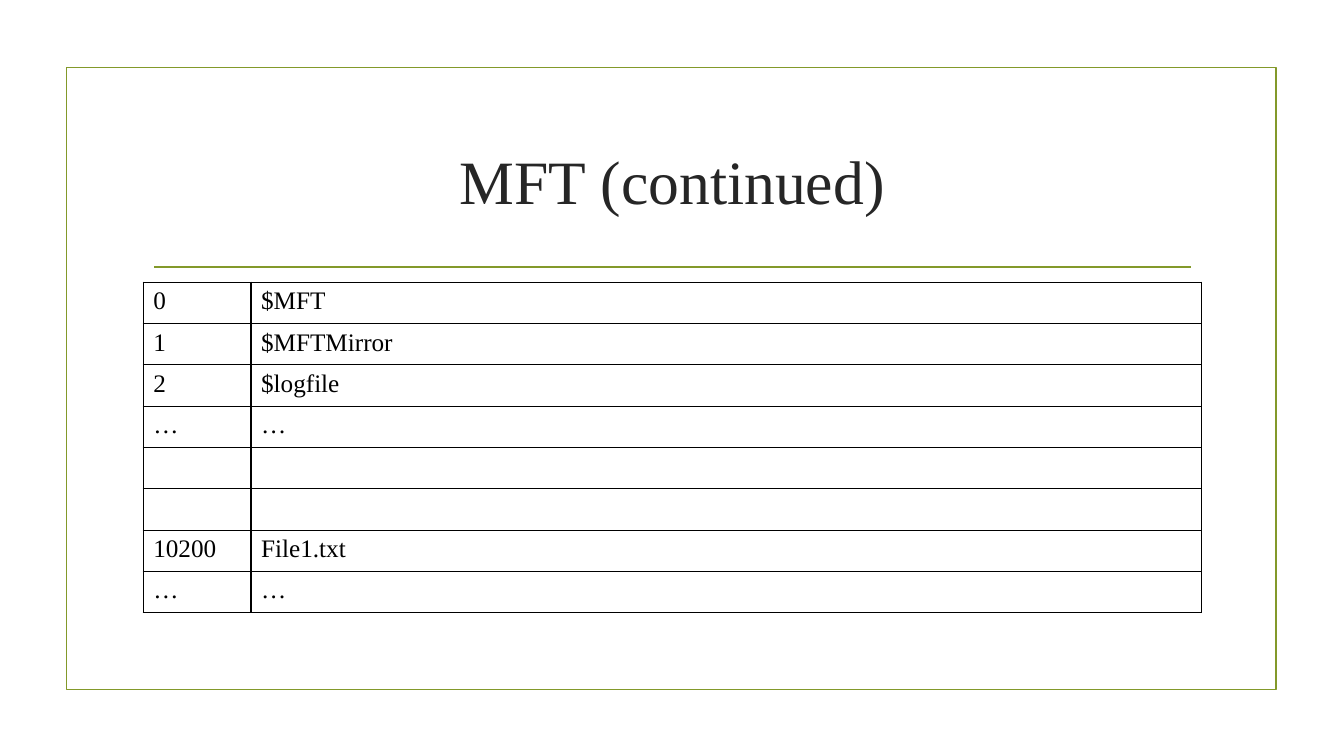
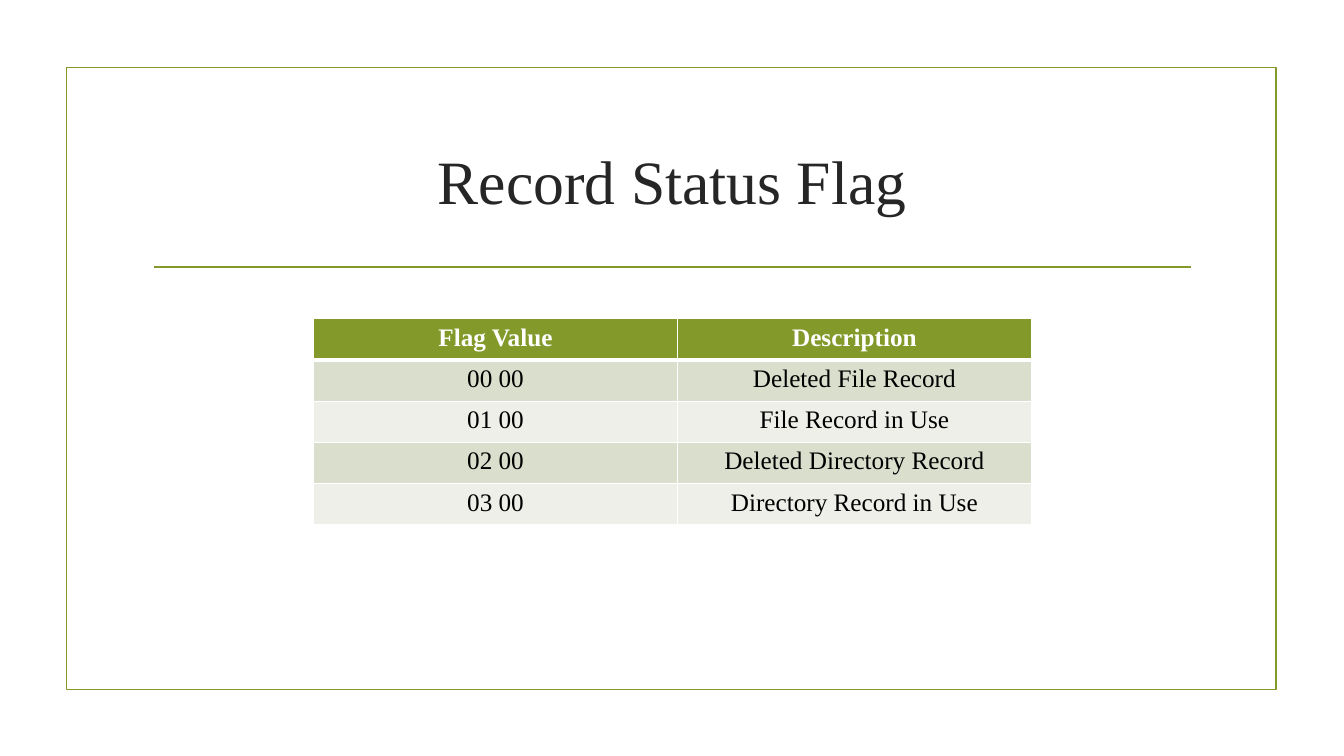
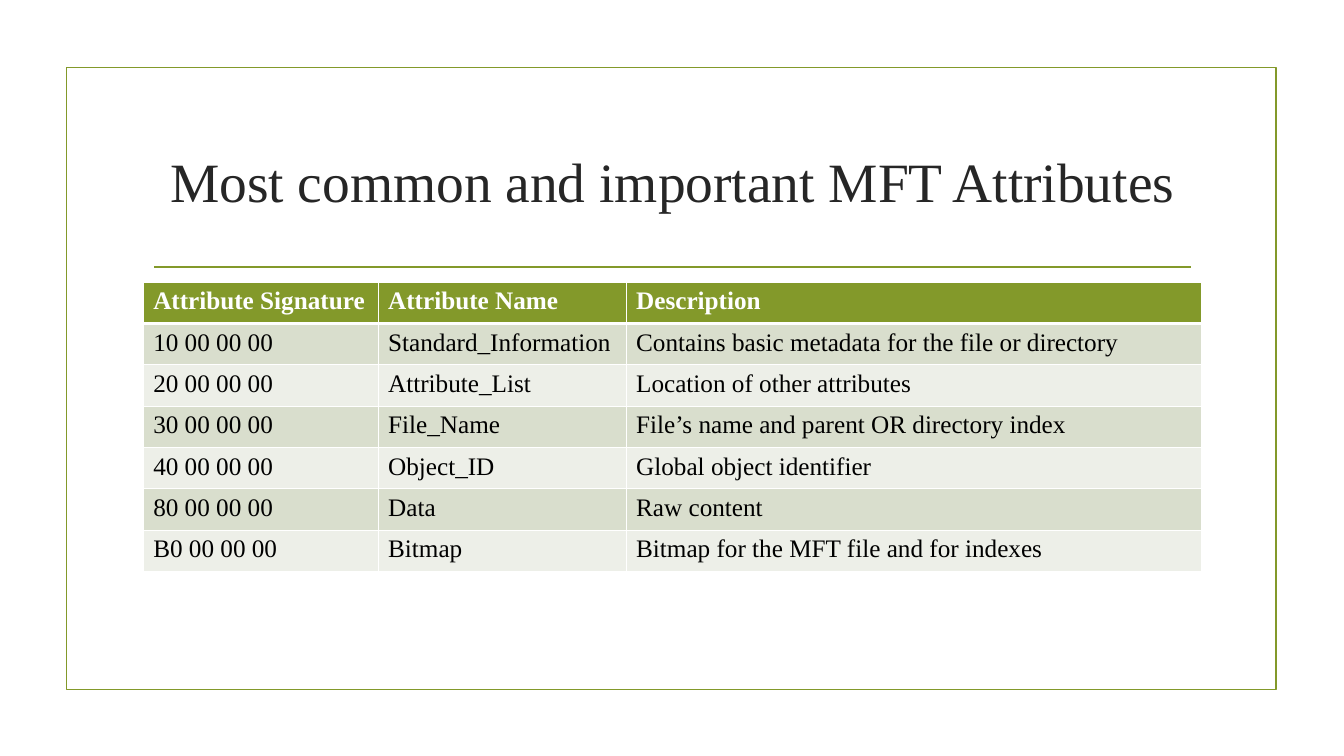
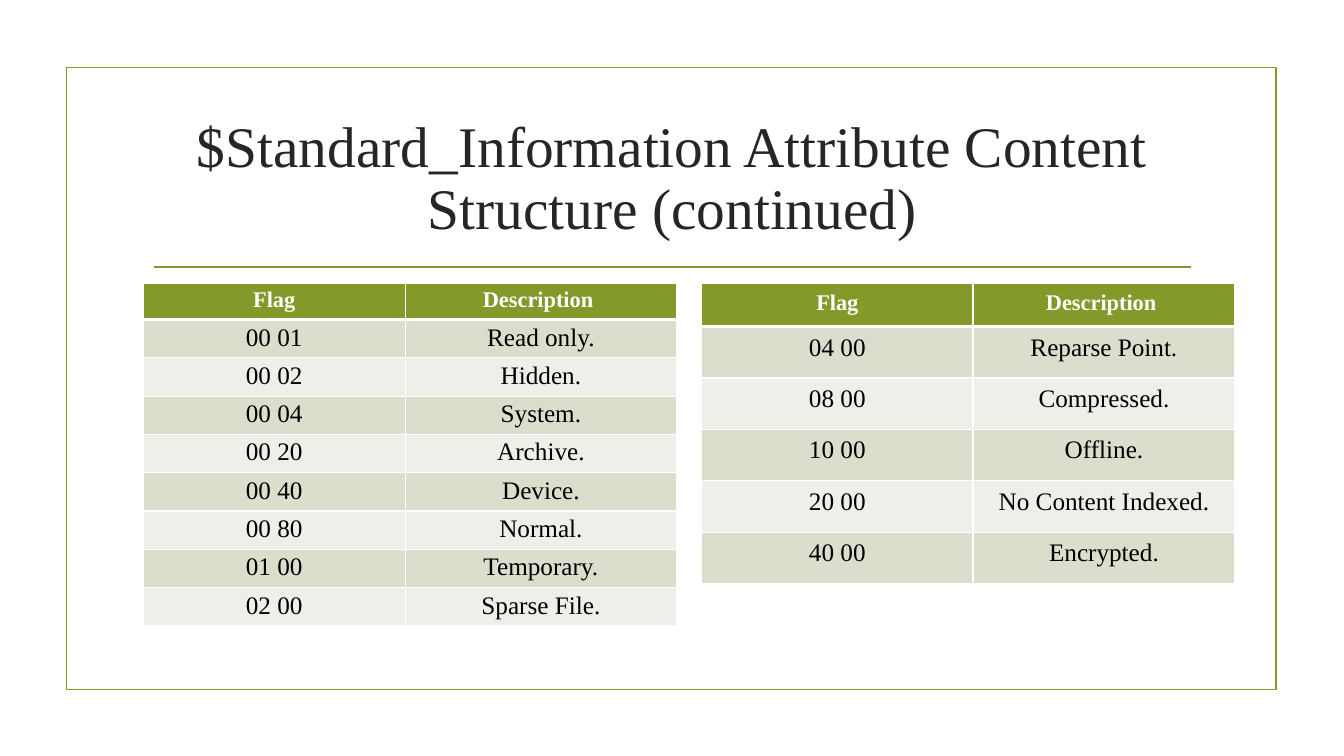
from dataclasses import dataclass

from lxml.etree import SubElement
from pptx import Presentation
from pptx.dml.color import RGBColor
from pptx.enum.shapes import MSO_CONNECTOR, MSO_SHAPE
from pptx.enum.text import MSO_ANCHOR, MSO_AUTO_SIZE, PP_ALIGN
from pptx.oxml.ns import qn
from pptx.util import Inches, Pt


@dataclass(frozen=True)
class Theme:
    font: str = "Times New Roman"
    green: str = "83992A"
    band_dark: str = "D9DECD"
    band_light: str = "EDEFE8"
    title: str = "262626"
    black: str = "000000"
    white: str = "FFFFFF"
    title_size: float = 44
    body_size: float = 18
    small_size: float = 16
    rule_width: float = 1.25
    border: float = 1
    header_border: float = 3


T = Theme()


def write(tf, text, size=T.body_size, color=T.black, bold=False,
          align=PP_ALIGN.LEFT, spacing=None):
    p = tf.paragraphs[0]
    p.alignment = align
    p.line_spacing = spacing
    r = p.add_run()
    r.text = text
    r.font.name = T.font
    r.font.size = Pt(size)
    r.font.bold = bold
    r.font.color.rgb = RGBColor.from_string(color)


def add_border(cell, side, color, width):
    ln = SubElement(cell._tc.get_or_add_tcPr(), qn(f"a:ln{side}"), w=str(Pt(width)))
    fill = SubElement(ln, qn("a:solidFill"))
    SubElement(fill, qn("a:srgbClr"), val=color)


slides = [
    dict(title="MFT (continued)", tables=[
        dict(at=(1.42, 2.8), cols=[1.07, 9.43], header=False, rows=[
            ("0", "$MFT"),
            ("1", "$MFTMirror"),
            ("2", "$logfile"),
            ("…", "…"),
            ("", ""),
            ("", ""),
            ("10200", "File1.txt"),
            ("…", "…"),
        ]),
    ]),
    dict(title="Record Status Flag", tables=[
        dict(at=(3.11, 3.16), cols=[3.61, 3.51], align=PP_ALIGN.CENTER, rows=[
            ("Flag Value", "Description"),
            ("00 00", "Deleted File Record"),
            ("01 00", "File Record in Use"),
            ("02 00", "Deleted Directory Record"),
            ("03 00", "Directory Record in Use"),
        ]),
    ]),
    dict(title="Most common and important MFT Attributes", size=39.6, tables=[
        dict(at=(1.42, 2.8), cols=[2.33, 2.46, 5.71], rows=[
            ("Attribute Signature", "Attribute Name", "Description"),
            ("10 00 00 00", "Standard_Information",
             "Contains basic metadata for the file or directory"),
            ("20 00 00 00", "Attribute_List", "Location of other attributes"),
            ("30 00 00 00", "File_Name", "File’s name and parent OR directory index"),
            ("40 00 00 00", "Object_ID", "Global object identifier"),
            ("80 00 00 00", "Data", "Raw content"),
            ("B0 00 00 00", "Bitmap", "Bitmap for the MFT file and for indexes"),
        ]),
    ]),
    dict(title="$Standard_Information Attribute Content Structure (continued)",
         size=41, spacing=0.9, tables=[
        dict(at=(1.42, 2.81), cols=[2.6, 2.69], heights=(0.36, 0.38),
             margins=(0.08, 0.04), header_size=T.small_size,
             align=PP_ALIGN.CENTER, rows=[
            ("Flag", "Description "),
            ("00 01", "Read only."),
            ("00 02", "Hidden."),
            ("00 04", "System."),
            ("00 20", "Archive."),
            ("00 40", "Device."),
            ("00 80", "Normal."),
            ("01 00", "Temporary."),
            ("02 00", "Sparse File."),
        ]),
        dict(at=(6.96, 2.81), cols=[2.69, 2.6], heights=(0.43, 0.51),
             margins=(0.14, 0.07), header_size=T.small_size,
             align=PP_ALIGN.CENTER, rows=[
            ("Flag", "Description "),
            ("04 00", "Reparse Point."),
            ("08 00", "Compressed."),
            ("10 00", "Offline."),
            ("20 00", "No Content Indexed."),
            ("40 00", "Encrypted."),
        ]),
    ]),
]

prs = Presentation()
prs.slide_width, prs.slide_height = Inches(13.33), Inches(7.5)

for page in slides:
    s = prs.slides.add_slide(prs.slide_layouts[5])

    frame = s.shapes.add_shape(MSO_SHAPE.RECTANGLE, Inches(0.66), Inches(0.67),
                               Inches(12), Inches(6.17))
    frame.shadow.inherit = False
    frame.fill.background()
    rule = s.shapes.add_connector(MSO_CONNECTOR.STRAIGHT, Inches(1.53), Inches(2.65),
                                  Inches(11.81), Inches(2.65))
    SubElement(rule._element.spPr, qn("a:effectLst"))
    for sp in (frame, rule):
        sp.line.color.rgb = RGBColor.from_string(T.green)
        sp.line.width = Pt(T.rule_width)

    title = s.shapes.title
    title.left, title.top = Inches(1.42), Inches(1.07)
    title.width, title.height = Inches(10.5), Inches(1.43)
    tf = title.text_frame
    tf.word_wrap = True
    tf.auto_size = MSO_AUTO_SIZE.NONE
    tf.vertical_anchor = MSO_ANCHOR.MIDDLE
    write(tf, page["title"], size=page.get("size", T.title_size), color=T.title,
          align=PP_ALIGN.CENTER, spacing=page.get("spacing"))

    for data in page["tables"]:
        rows, cols = data["rows"], data["cols"]
        left, top = data["at"]
        has_header = data.get("header", True)
        head_height, row_height = data.get("heights", (0.41, 0.41))
        margin_x, margin_y = data.get("margins", (0.1, 0.05))
        height = head_height + row_height * (len(rows) - 1)
        table = s.shapes.add_table(len(rows), len(cols), Inches(left), Inches(top),
                                   Inches(sum(cols)), Inches(height)).table
        table.first_row = has_header
        table.horz_banding = False
        for column, width in zip(table.columns, cols):
            column.width = Inches(width)

        for i, values in enumerate(rows):
            table.rows[i].height = Inches(row_height if i else head_height)
            is_header = has_header and i == 0
            widths = dict.fromkeys("LRTB", T.border)
            if is_header:
                widths["B"] = T.header_border
            elif has_header and i == 1:
                widths["T"] = T.header_border

            for j, text in enumerate(values):
                cell = table.cell(i, j)
                cell.margin_left = cell.margin_right = Inches(margin_x)
                cell.margin_top = cell.margin_bottom = Inches(margin_y)
                for side, width in widths.items():
                    add_border(cell, side, T.white if has_header else T.black, width)
                if has_header:
                    band = T.band_dark if i % 2 else T.band_light
                    cell.fill.solid()
                    cell.fill.fore_color.rgb = RGBColor.from_string(
                        T.green if is_header else band)
                else:
                    cell.fill.background()
                if text:
                    write(cell.text_frame, text, bold=is_header,
                          size=data.get("header_size", T.body_size) if is_header else T.body_size,
                          color=T.white if is_header else T.black,
                          align=data.get("align", PP_ALIGN.LEFT))

prs.save("out.pptx")
